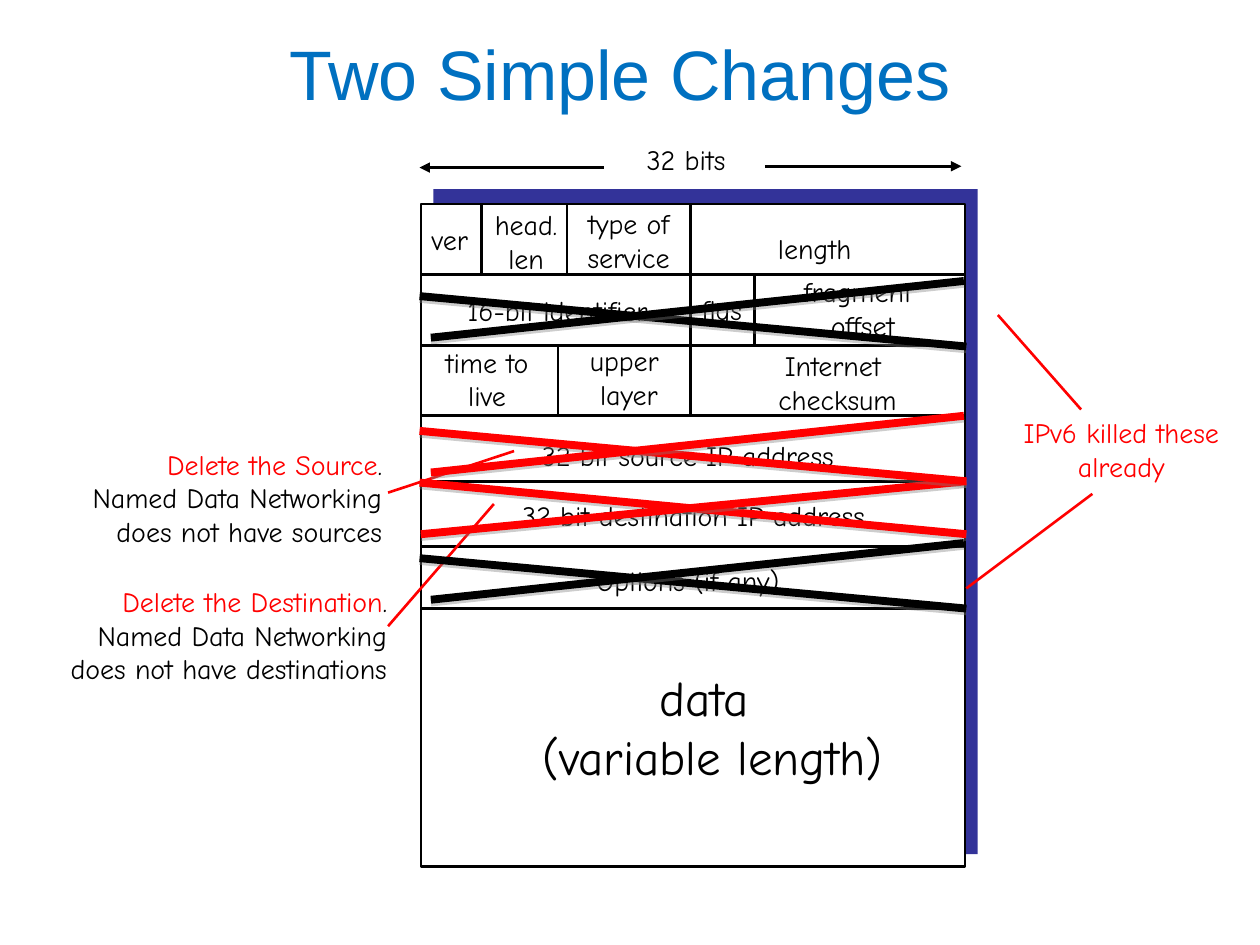
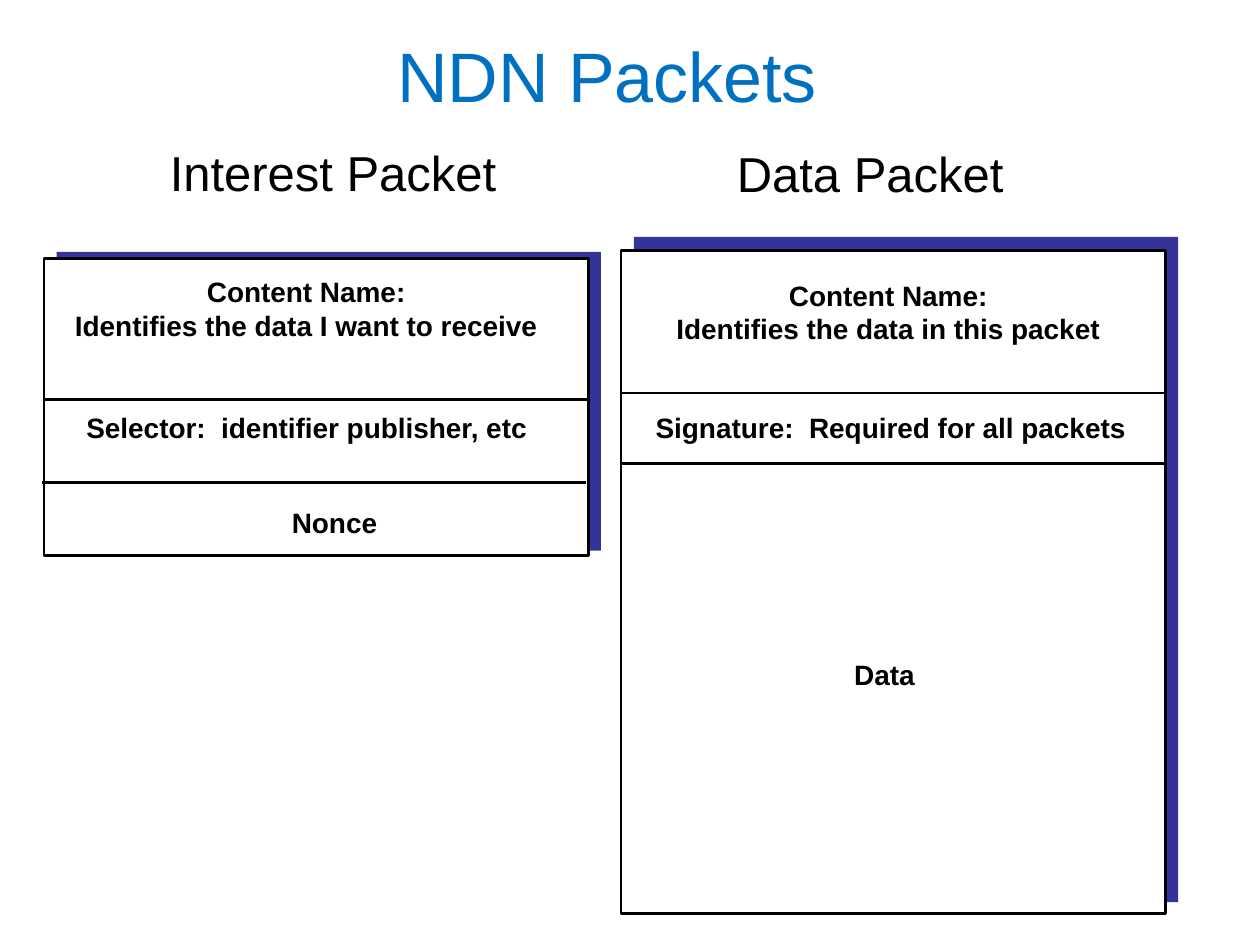
import pptx
import pptx.util
import pptx.dml.color
import pptx.enum.shapes
import pptx.enum.text
import pptx.oxml
import pptx.oxml.ns

BLACK = pptx.dml.color.RGBColor(0x00, 0x00, 0x00)
WHITE = pptx.dml.color.RGBColor(0xFF, 0xFF, 0xFF)
RED = pptx.dml.color.RGBColor(0xFF, 0x00, 0x00)
BLUE = pptx.dml.color.RGBColor(0x00, 0x70, 0xC0)
INDIGO = pptx.dml.color.RGBColor(0x33, 0x33, 0x99)

CENTER = pptx.enum.text.PP_ALIGN.CENTER
LEFT = pptx.enum.text.PP_ALIGN.LEFT
RIGHT = pptx.enum.text.PP_ALIGN.RIGHT
TOP = pptx.enum.text.MSO_ANCHOR.TOP
MIDDLE = pptx.enum.text.MSO_ANCHOR.MIDDLE

TITLE = {"name": "Arial", "size": pptx.util.Pt(40)}
HEADING = {"name": "Arial", "size": pptx.util.Pt(28)}
LABEL = {"name": "Arial", "size": pptx.util.Pt(16), "bold": True}
FIELD = {"name": "Comic Neue", "size": pptx.util.Pt(16)}
PAYLOAD = {"name": "Comic Neue", "size": pptx.util.Pt(28)}

presentation = pptx.Presentation()
presentation.slide_width = pptx.util.Inches(10)
presentation.slide_height = pptx.util.Inches(7.5)

# Grid of 10 columns and 7.5 rows
COLUMN = presentation.slide_width / 10
ROW = presentation.slide_height / 7.5

NAMESPACE = pptx.oxml.ns.nsdecls("a")
NO_EFFECT = f"<a:effectLst {NAMESPACE}/>"
SOFT_SHADOW = (
    f'<a:effectLst {NAMESPACE}><a:outerShdw blurRad="0" dist="20000" dir="5400000" rotWithShape="0">'
    '<a:srgbClr val="808080"><a:alpha val="38000"/></a:srgbClr></a:outerShdw></a:effectLst>')
ARROWHEAD = f'<a:tailEnd {NAMESPACE} type="triangle"/>'


def add_text(slide, text, box, style, color=BLACK, align=CENTER, anchor=TOP, lead=""):
    left, top, width, height = box
    shape = slide.shapes.add_textbox(
        int(left * COLUMN), int(top * ROW), int(width * COLUMN), int(height * ROW))
    frame = shape.text_frame
    frame.word_wrap = True
    frame.vertical_anchor = anchor
    for number, line in enumerate(text.split("\n")):
        paragraph = frame.add_paragraph() if number else frame.paragraphs[0]
        paragraph.alignment = align
        pieces = [(line, color)]
        if lead and number == 0:
            pieces.insert(0, (lead, RED))
        for words, tint in pieces:
            run = paragraph.add_run()
            run.text = words
            run.font.color.rgb = tint
            for attribute, value in style.items():
                setattr(run.font, attribute, value)


def add_line(slide, start, end, color=BLACK, weight=1.5, effect=NO_EFFECT, arrow=False):
    connector = slide.shapes.add_connector(
        pptx.enum.shapes.MSO_CONNECTOR.STRAIGHT,
        int(start[0] * COLUMN), int(start[1] * ROW), int(end[0] * COLUMN), int(end[1] * ROW))
    connector.line.color.rgb = color
    connector.line.width = pptx.util.Pt(weight)
    if arrow:
        connector.line._get_or_add_ln().append(pptx.oxml.parse_xml(ARROWHEAD))
    connector._element.spPr.append(pptx.oxml.parse_xml(effect))


blank = presentation.slide_layouts[6]
changes = presentation.slides.add_slide(blank)
packets = presentation.slides.add_slide(blank)

# Titles
for slide, text, left, top in [(changes, "Two Simple Changes", 0.67, 0.15),
                               (packets, "NDN Packets", 0.57, 0.17)]:
    add_text(slide, text, (left, top, 8.5, 0.85), TITLE, BLUE, anchor=MIDDLE)

# Packet frames, each over an indigo backing set 0.1 to the right
FRAME_WIDTH = 4.32
for slide, left, top, height, back_top, back_height in [
        (changes, 3.34, 1.62, 5.26, 1.5, 5.28),
        (packets, 0.35, 2.05, 2.36, 2, 2.37),
        (packets, 4.93, 1.99, 5.26, 1.88, 5.28)]:
    for x, y, tall, fill in [(left + 0.1, back_top, back_height, INDIGO),
                             (left, top, height, WHITE)]:
        rectangle = slide.shapes.add_shape(
            pptx.enum.shapes.MSO_SHAPE.RECTANGLE,
            int(x * COLUMN), int(y * ROW), int(FRAME_WIDTH * COLUMN), int(tall * ROW))
        rectangle.shadow.inherit = False
        rectangle.fill.solid()
        rectangle.fill.fore_color.rgb = fill
        if fill == WHITE:
            rectangle.line.color.rgb = BLACK
            rectangle.line.width = pptx.util.Pt(1.5)
        else:
            rectangle.line.fill.background()

# Slide 1: header grid
LEFT_EDGE, RIGHT_EDGE = 3.34, 7.67
row_edges = [1.62, 2.18, 2.74, 3.3, 3.82, 4.34, 4.83]
for y in row_edges[1:]:
    add_line(changes, (LEFT_EDGE, y), (RIGHT_EDGE, y))
for number, dividers in enumerate([(3.82, 4.5, 5.48), (5.48, 5.99), (4.43, 5.48)]):
    for x in dividers:
        add_line(changes, (x, row_edges[number]), (x, row_edges[number + 1]))

# Width arrows
add_line(changes, (6.07, 1.32), (7.63, 1.32), arrow=True)
add_line(changes, (4.79, 1.33), (3.33, 1.33), arrow=True)

# Header fields
for text, box in [
        ("32 bits", (4.97, 1.08, 0.95, 0.37)),
        ("ver", (3.3, 1.72, 0.54, 0.37)),
        ("head.\nlen", (3.8, 1.6, 0.75, 0.64)),
        ("type of\nservice", (4.51, 1.59, 0.96, 0.64)),
        ("length", (6.04, 1.79, 0.85, 0.37)),
        ("16-bit identifier", (3.25, 2.28, 2.35, 0.37)),
        ("flgs", (5.31, 2.27, 0.84, 0.37)),
        ("fragment\n offset", (6.03, 2.13, 1.56, 0.64)),
        ("time to\nlive", (3.39, 2.69, 0.95, 0.64)),
        ("upper\n layer", (4.51, 2.68, 0.89, 0.64)),
        ("Internet\n checksum", (5.98, 2.72, 1.26, 0.64)),
        ("32 bit source IP address", (4.07, 3.43, 2.78, 0.37)),
        ("32 bit destination IP address", (3.88, 3.91, 3.25, 0.37)),
        ("Options (if any)", (4.55, 4.42, 1.82, 0.37))]:
    add_text(changes, text, box, FIELD)
add_text(changes, "data \n(variable length)", (4, 5.25, 3.31, 1.04), PAYLOAD)

# Notes and their pointers
add_text(changes, ".\nNamed Data Networking\ndoes not have sources",
         (0.25, 3.5, 2.88, 0.91), FIELD, align=RIGHT, lead="Delete the Source")
add_text(changes, ".\nNamed Data Networking\ndoes not have destinations",
         (0.04, 4.59, 3.13, 0.91), FIELD, align=RIGHT, lead="Delete the Destination")
add_text(changes, "IPv6 killed these already", (7.96, 3.25, 1.88, 0.64), FIELD, RED)
for start, end in [((3.08, 3.91), (4.08, 3.58)), ((3.08, 4.97), (3.92, 4)),
                   ((8.58, 3.25), (7.92, 2.5)), ((7.67, 4.67), (8.67, 3.92))]:
    add_line(changes, start, end, RED)

# Crosses over the deleted fields
strokes = [((3.33, 3.83), (7.67, 4.24), RED), ((3.34, 4.24), (7.67, 3.82), RED)]
for y, color in [(3.3, RED), (2.23, BLACK), (4.31, BLACK)]:
    strokes.append(((3.33, y + 0.12), (7.67, y + 0.52), color))
    strokes.append(((3.42, y + 0.45), (7.65, y), color))
for start, end, color in strokes:
    add_line(changes, start, end, color, 4.5, SOFT_SHADOW)

# Slide 2: packet dividers
for left, y in [(0.35, 3.17), (0.33, 3.83), (4.94, 3.12), (4.92, 3.68)]:
    add_line(packets, (left, y), (left + FRAME_WIDTH, y))

# Packet headings and fields
for text, left, top, width in [("Interest Packet", 1.25, 1.08, 3),
                               ("Data Packet", 5.75, 1.09, 2.5)]:
    add_text(packets, text, (left, top, width, 0.57), HEADING, align=LEFT)
for text, box in [
        ("Content Name:\nIdentifies the data I want to receive", (0.39, 2.13, 4.08, 0.64)),
        ("Selector:  identifier publisher, etc", (0.52, 3.21, 3.83, 0.37)),
        ("Nonce", (2.16, 3.96, 0.99, 0.37)),
        ("Content Name:\nIdentifies the data in this packet", (5.01, 2.16, 4.08, 0.64)),
        ("Signature:  Required for all packets", (5.02, 3.21, 4.1, 0.37)),
        ("Data", (6.62, 5.17, 0.8, 0.37))]:
    add_text(packets, text, box, LABEL)

presentation.save("out.pptx")
